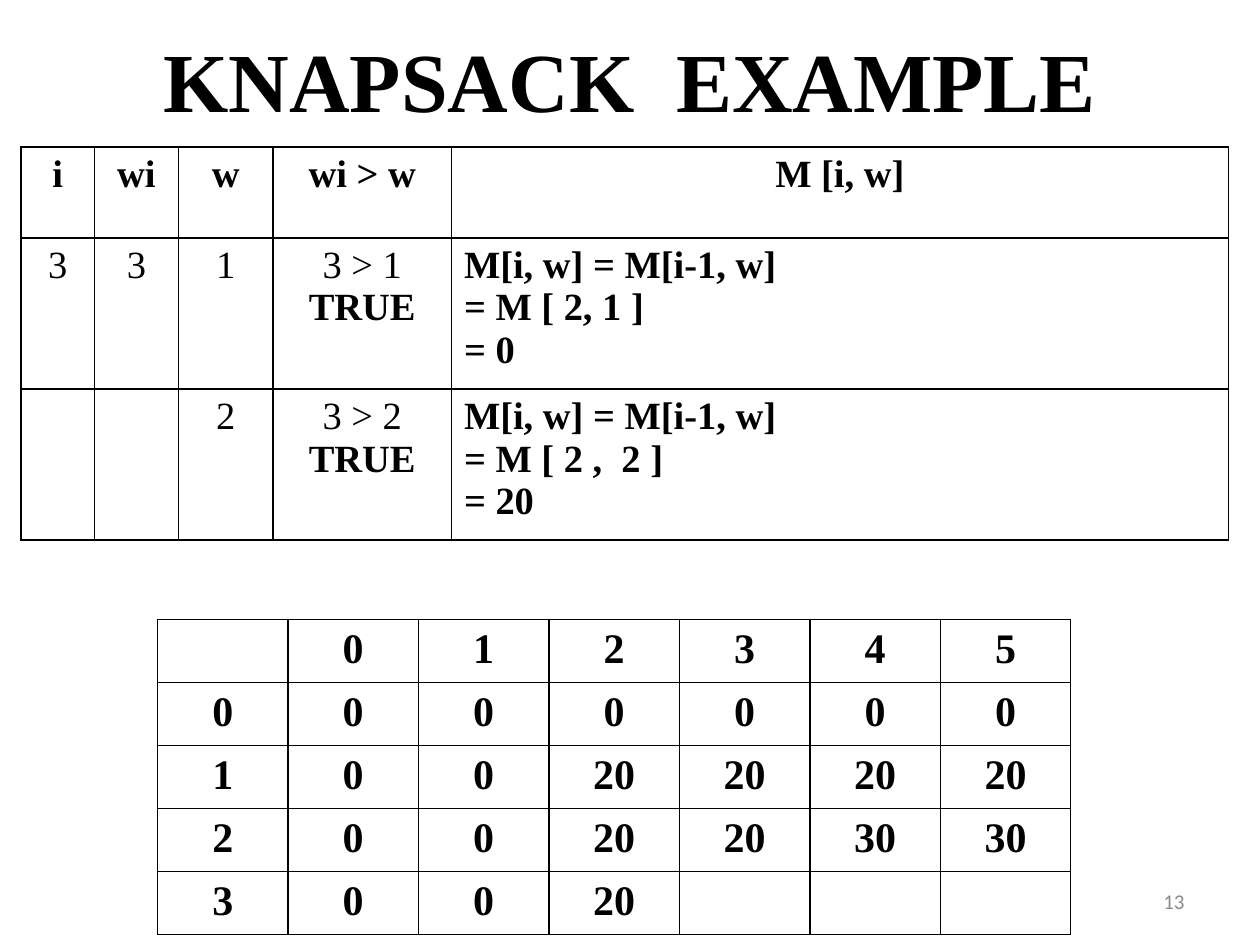
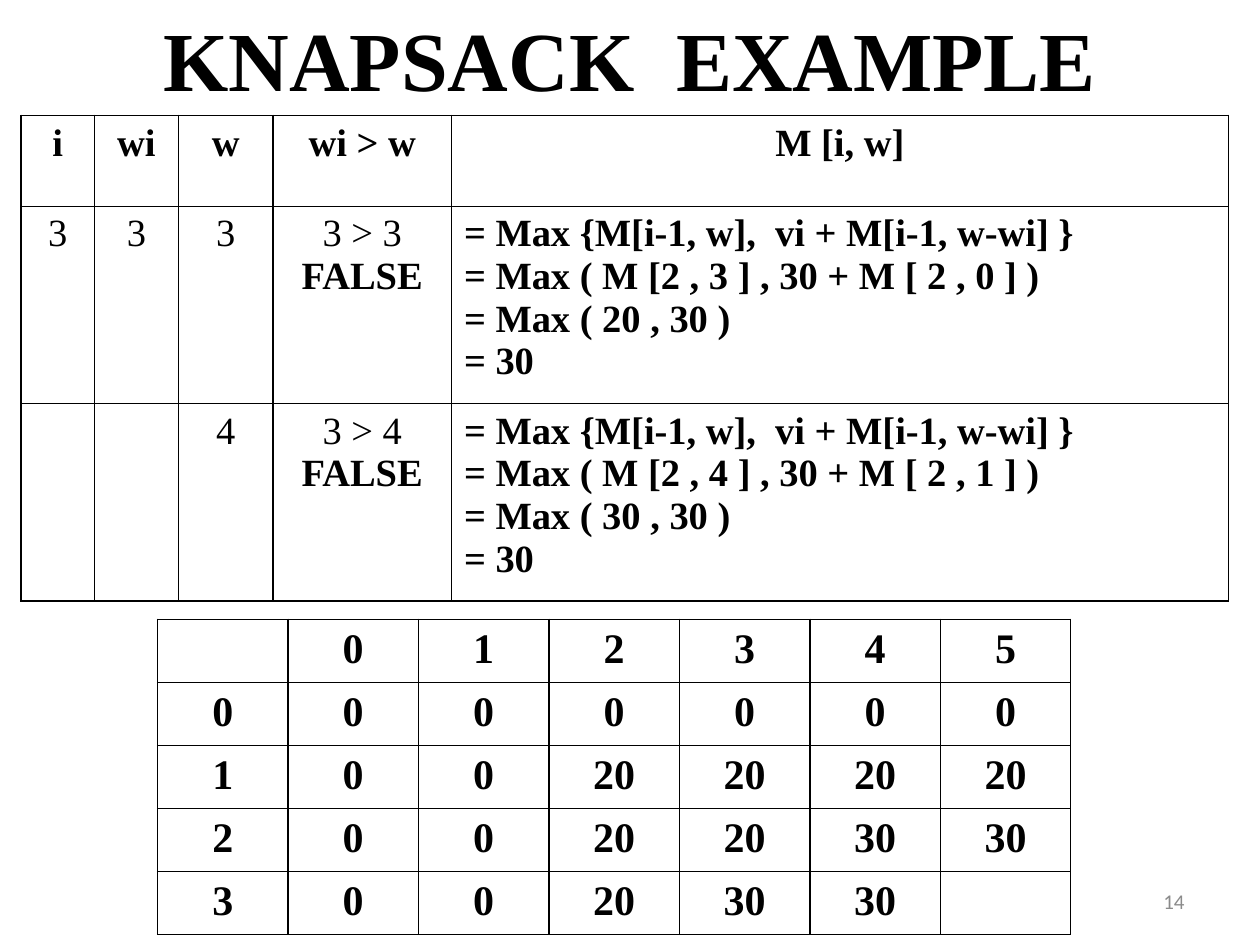
from pptx import Presentation
from pptx.dml.color import RGBColor
from pptx.enum.text import MSO_ANCHOR, PP_ALIGN
from pptx.oxml import parse_xml
from pptx.oxml.ns import nsdecls
from pptx.util import Inches, Pt

SERIF, SANS = "Times New Roman", "Calibri"
BLACK, GREY = "000000", "8B8B8B"
UNIT = 1 / 12  # the slide is a grid of 120 columns by 90 rows

STEP_HEADINGS = ["i", "wi", "w", "wi > w", "M [i, w]"]
STEP_COLUMNS = [7, 8, 9, 17, 74]
KNOWN_ROWS = [
    ["", "0", "1", "2", "3", "4", "5"],
    ["0", "0", "0", "0", "0", "0", "0"],
    ["1", "0", "0", "20", "20", "20", "20"],
    ["2", "0", "0", "20", "20", "30", "30"],
]

SLIDES = [
    {
        "number": "13", "title_top": 1, "steps_top": 14,
        "steps": [
            ["3", "3", "1", "3 > 1\nTRUE", "M[i, w] = M[i-1, w]\n= M [ 2, 1 ]\n= 0"],
            ["", "", "2", "3 > 2\nTRUE", "M[i, w] = M[i-1, w]\n= M [ 2 ,  2 ]\n= 20"],
        ],
        "last_row": ["3", "0", "0", "20", "", "", ""],
    },
    {
        "number": "14", "title_top": -1, "steps_top": 11,
        "steps": [
            ["3", "3", "3", "3 > 3\nFALSE",
             "= Max {M[i-1, w],  vi + M[i-1, w-wi] }\n"
             "= Max ( M [2 , 3 ] , 30 + M [ 2 , 0 ] )\n= Max ( 20 , 30 )\n= 30"],
            ["", "", "4", "3 > 4\nFALSE",
             "= Max {M[i-1, w],  vi + M[i-1, w-wi] }\n"
             "= Max ( M [2 , 4 ] , 30 + M [ 2 , 1 ] )\n= Max ( 30 , 30 )\n= 30"],
        ],
        "last_row": ["3", "0", "0", "20", "30", "30", ""],
    },
]


def color(hex_string):
    return RGBColor.from_string(hex_string)


def grid(*units):
    return [Inches(unit * UNIT) for unit in units]


def format_paragraph(paragraph, size, bold=False, align=PP_ALIGN.CENTER,
                     font=SERIF, ink=BLACK):
    paragraph.alignment = align
    for run in paragraph.runs:
        run.font.name = font
        run.font.size = Pt(size)
        run.font.bold = bold
        run.font.color.rgb = color(ink)


def add_text(slide, box, text, size, **style):
    text_frame = slide.shapes.add_textbox(*grid(*box)).text_frame
    text_frame.word_wrap = True
    text_frame.vertical_anchor = MSO_ANCHOR.MIDDLE
    text_frame.text = text
    format_paragraph(text_frame.paragraphs[0], size, **style)


def outline_cell(cell):
    properties = cell._tc.get_or_add_tcPr()
    for side in ("lnL", "lnR", "lnT", "lnB"):
        properties.append(parse_xml(
            f'<a:{side} {nsdecls("a")} w="12700"><a:solidFill>'
            f'<a:srgbClr val="{BLACK}"/></a:solidFill></a:{side}>'))
    cell.fill.background()


def add_grid_table(slide, left, top, widths, heights, rows):
    """Place a plain ruled table and return it for text formatting."""
    box = grid(left, top, sum(widths), sum(heights))
    table = slide.shapes.add_table(len(rows), len(widths), *box).table
    table.first_row = table.horz_banding = False
    for column, width in zip(table.columns, grid(*widths)):
        column.width = width
    for row, height, texts in zip(table.rows, grid(*heights), rows):
        row.height = height
        for cell, text in zip(row.cells, texts):
            outline_cell(cell)
            if text:
                cell.text_frame.text = text
    return table


def add_steps(slide, left, top, steps):
    # Each step's row grows with the lines of its formula
    heights = [8.65] + [1 + 4.4 * len(step[-1].split("\n")) for step in steps]
    table = add_grid_table(slide, left, top, STEP_COLUMNS, heights,
                           [STEP_HEADINGS] + steps)
    formula = len(STEP_COLUMNS) - 1
    for r, row in enumerate(table.rows):
        for c, cell in enumerate(row.cells):
            is_formula = r > 0 and c == formula
            for line, paragraph in enumerate(cell.text_frame.paragraphs):
                format_paragraph(
                    paragraph, 22, bold=r == 0 or is_formula or line > 0,
                    align=PP_ALIGN.LEFT if is_formula else PP_ALIGN.CENTER)


def add_matrix(slide, left, top, width, row_height, rows):
    count = len(rows[0])
    table = add_grid_table(slide, left, top, [width / count] * count,
                           [row_height] * len(rows), rows)
    for cell in table.iter_cells():
        format_paragraph(cell.text_frame.paragraphs[0], 24, bold=True)


def add_example_slide(presentation, content):
    slide = presentation.slides.add_slide(presentation.slide_layouts[6])
    # Title and page number
    add_text(slide, (6, content["title_top"], 108, 13), "KNAPSACK  EXAMPLE", 48, bold=True)
    add_text(slide, (86, 83.4, 28, 4.8), content["number"], 12,
             align=PP_ALIGN.RIGHT, font=SANS, ink=GREY)
    # Value matrix below, worked steps above
    add_matrix(slide, 15, 59, 87, 6, KNOWN_ROWS + [content["last_row"]])
    add_steps(slide, 2, content["steps_top"], content["steps"])


def main():
    presentation = Presentation()
    presentation.slide_width, presentation.slide_height = grid(120, 90)
    for content in SLIDES:
        add_example_slide(presentation, content)
    presentation.save("out.pptx")


if __name__ == "__main__":
    main()
